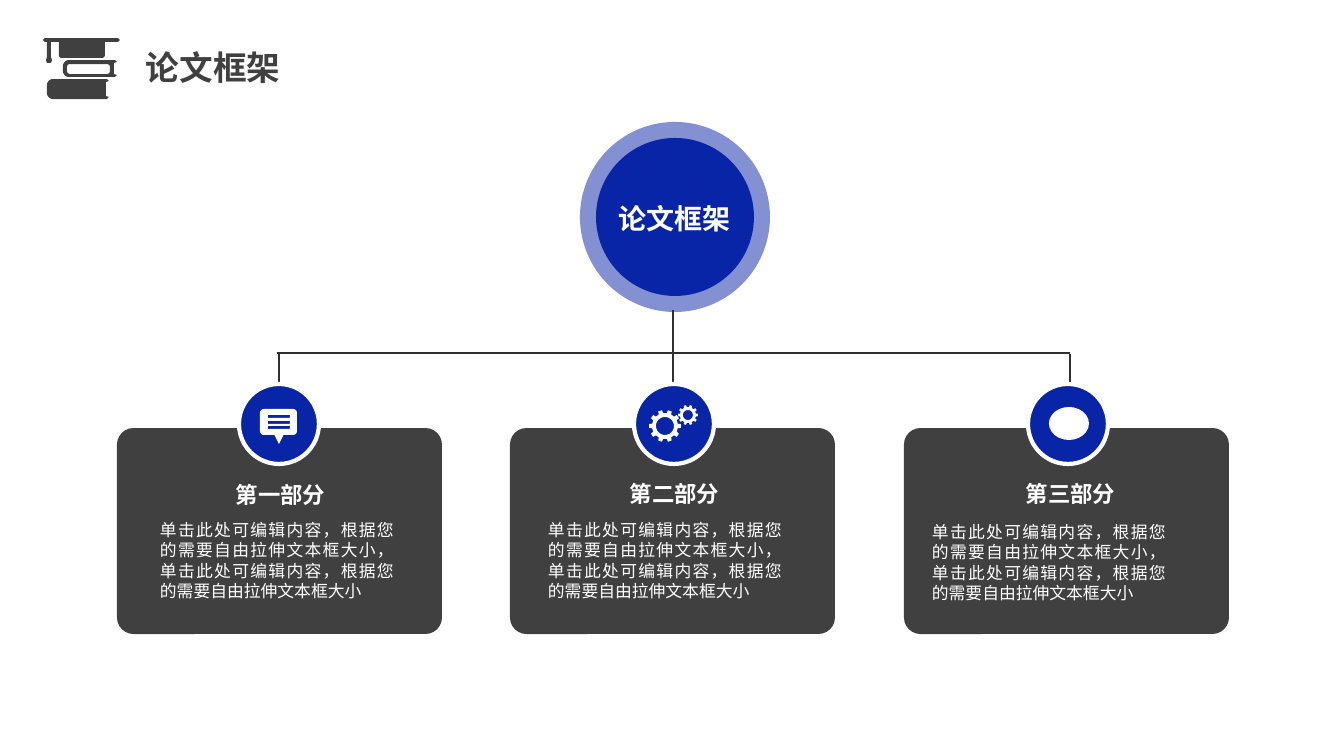
from math import cos, radians, sin

from lxml import etree
from pptx import Presentation
from pptx.dml.color import RGBColor
from pptx.enum.shapes import MSO_CONNECTOR, MSO_SHAPE
from pptx.enum.text import MSO_ANCHOR, PP_ALIGN
from pptx.oxml.ns import qn
from pptx.util import Pt

PX = 914400 / 100.8
FONT = "Noto Sans CJK SC"
BLUE = RGBColor(0x08, 0x24, 0xA7)
GREY = RGBColor(0x40, 0x40, 0x40)
LINE = RGBColor(0x2F, 0x2F, 0x2F)
WHITE = RGBColor(0xFF, 0xFF, 0xFF)

TOPIC = "论文框架"
BODY = "，".join(["单击此处可编辑内容，根据您的需要自由拉伸文本框大小"] * 2)
# card left, badge left, heading (left, top, text), body (left, top)
CARDS = [
    (117, 239, (192, 481, "第一部分"), (160, 520)),
    (510, 634, (586, 480, "第二部分"), (548, 520)),
    (904, 1028, (982, 480, "第三部分"), (932, 522)),
]


def emu(px):
    return round(px * PX)


def arc(cx, cy, radius, start, stop, steps=8):
    angles = [radians(start + (stop - start) * i / steps) for i in range(steps + 1)]
    return [(cx + radius * cos(a), cy + radius * sin(a)) for a in angles]


def box(left, top, width, height, radius=0):
    """Outline of a rectangle, with rounded corners if a radius is given."""
    right, bottom = left + width, top + height
    if not radius:
        return [(left, top), (right, top), (right, bottom), (left, bottom)]
    x1, x2, y1, y2 = left + radius, right - radius, top + radius, bottom - radius
    corners = [(x1, y1, 180), (x2, y1, 270), (x2, y2, 0), (x1, y2, 90)]
    return [pt for x, y, a in corners for pt in arc(x, y, radius, a, a + 90)]


def gear(cx, cy, outer, root, hole, teeth=10):
    """Outlines of a toothed wheel and its round hole."""
    rim = []
    for i in range(teeth):
        a = 360 / teeth * i
        for radius, offset in ((root, -10), (outer, -7), (outer, 7), (root, 10)):
            rim += arc(cx, cy, radius, a + offset, a + offset, 1)[:1]
    return [rim, arc(cx, cy, hole, 0, 360, 32)]


def book(left, top, right, bottom, radius):
    """Outline of a lying book: round spine on the left, cover edges on the right."""
    x = left + radius
    return (arc(x, bottom - radius, radius, 90, 180)
            + arc(x, top + radius, radius, 180, 270)
            + [(right - 2, top), (right, top + 2), (right - 3, top + 3),
               (right - 3, bottom - 3), (right, bottom - 2), (right - 2, bottom)])


class Deck:
    def __init__(self, width, height):
        self.prs = Presentation()
        self.prs.slide_width, self.prs.slide_height = emu(width), emu(height)
        self.s = self.prs.slides.add_slide(self.prs.slide_layouts[6])

    def paint(self, sp, fill, outline=None):
        sp.shadow.inherit = False
        sp.fill.solid()
        sp.fill.fore_color.rgb = fill
        if outline:
            sp.line.color.rgb = outline
            sp.line.width = Pt(3)
        else:
            sp.line.fill.background()
        return sp

    def shape(self, kind, left, top, width, height, fill, outline=None):
        sp = self.s.shapes.add_shape(kind, *map(emu, (left, top, width, height)))
        return self.paint(sp, fill, outline)

    def circle(self, left, top, size, fill, outline=None, alpha=None):
        sp = self.shape(MSO_SHAPE.OVAL, left, top, size, size, fill, outline)
        if alpha:
            color = sp.fill._xPr.find(".//" + qn("a:srgbClr"))
            etree.SubElement(color, qn("a:alpha"), val=str(alpha * 1000))

    def outline(self, contours, fill):
        """One filled freeform; inner contours become holes."""
        contours = [[(emu(x), emu(y)) for x, y in c] for c in contours]
        fb = self.s.shapes.build_freeform(*contours[0][0])
        for i, (first, *rest) in enumerate(contours):
            if i:
                fb.move_to(*first)
            fb.add_line_segments(rest, close=True)
        self.paint(fb.convert_to_shape(), fill)

    def line(self, x1, y1, x2, y2, width):
        cn = self.s.shapes.add_connector(
            MSO_CONNECTOR.STRAIGHT, *map(emu, (x1, y1, x2, y2)))
        cn.line.color.rgb = LINE
        cn.line.width = Pt(width)
        etree.SubElement(cn._element.spPr, qn("a:effectLst"))

    def text(self, text, left, top, width, height, size, color=WHITE, bold=False,
             align=PP_ALIGN.LEFT, anchor=MSO_ANCHOR.TOP, inset=(0, 0), wrap=True):
        tb = self.s.shapes.add_textbox(*map(emu, (left, top, width, height)))
        tf = tb.text_frame
        tf.word_wrap = wrap
        tf.vertical_anchor = anchor
        tf.margin_left = tf.margin_right = emu(inset[0])
        tf.margin_top = tf.margin_bottom = emu(inset[1])
        p = tf.paragraphs[0]
        p.text = text
        p.alignment = align
        p.font.name, p.font.size, p.font.bold = FONT, Pt(size), bold
        p.font.color.rgb = color
        etree.SubElement(p._p.pPr.find(qn("a:defRPr")), qn("a:ea"), typeface=FONT)

    def card(self, left, badge, heading, body):
        sp = self.shape(MSO_SHAPE.ROUNDED_RECTANGLE, left, 428, 325, 206, GREY)
        sp.adjustments[0] = 0.08
        self.circle(badge, 384, 80, BLUE, WHITE)
        x, y, title = heading
        self.text(title, x, y, 177, 27, 16, bold=True,
                  align=PP_ALIGN.CENTER, anchor=MSO_ANCHOR.MIDDLE)
        self.text(BODY, *body, 234, 82, 12, align=PP_ALIGN.JUSTIFY)


def main():
    deck = Deck(1344, 756)

    cap = [(45, 38), (118, 38), (120, 40), (118, 42), (105, 42), (105, 56), (103, 58),
           (61, 58), (59, 56), (59, 42), (51, 42), (51, 57), (52, 60), (51, 63),
           (47, 63), (46, 60), (47, 57), (47, 42), (45, 42), (43, 40)]
    deck.outline([cap, book(63, 60, 117, 77, 6), box(67, 64, 43, 10, 3),
                  book(47, 79, 109, 99, 6)], GREY)
    deck.text(TOPIC, 136, 42, 250, 50, 24, GREY, True, inset=(10, 5))

    deck.circle(580, 122, 190, BLUE, alpha=50)
    deck.circle(596, 138, 158, BLUE)
    deck.text(TOPIC, 608, 196, 133, 44, 20, bold=True, inset=(10, 5), wrap=False)

    deck.line(277, 353, 1070, 353, 1)
    for x, top, bottom in ((279, 354, 440), (673, 310, 397), (1070, 354, 440)):
        deck.line(x, top, x, bottom, 1.5)
    for card in CARDS:
        deck.card(*card)

    bubble_lines = [box(268, y, 22, 3) for y in (415, 421, 426)]
    deck.outline([box(260, 409, 37, 26, 4), *bubble_lines], WHITE)
    deck.outline([[(274, 434), (284, 434), (279, 444)]], WHITE)
    deck.outline(gear(665, 426, 16, 13, 9), WHITE)
    deck.outline(gear(688, 415, 10, 8, 5), WHITE)
    deck.shape(MSO_SHAPE.OVAL, 1049, 407, 40, 33, WHITE)

    deck.prs.save("out.pptx")


if __name__ == "__main__":
    main()
